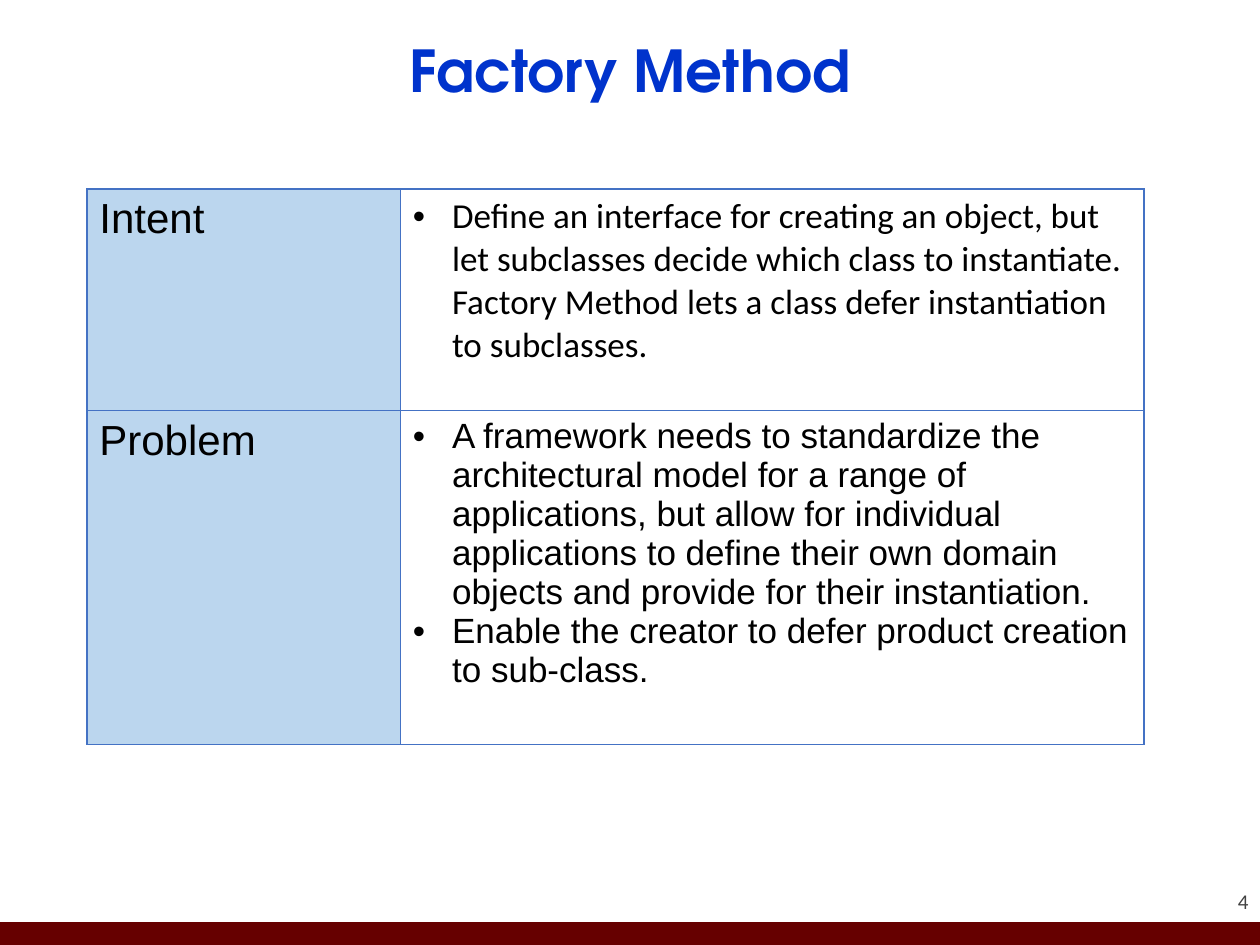
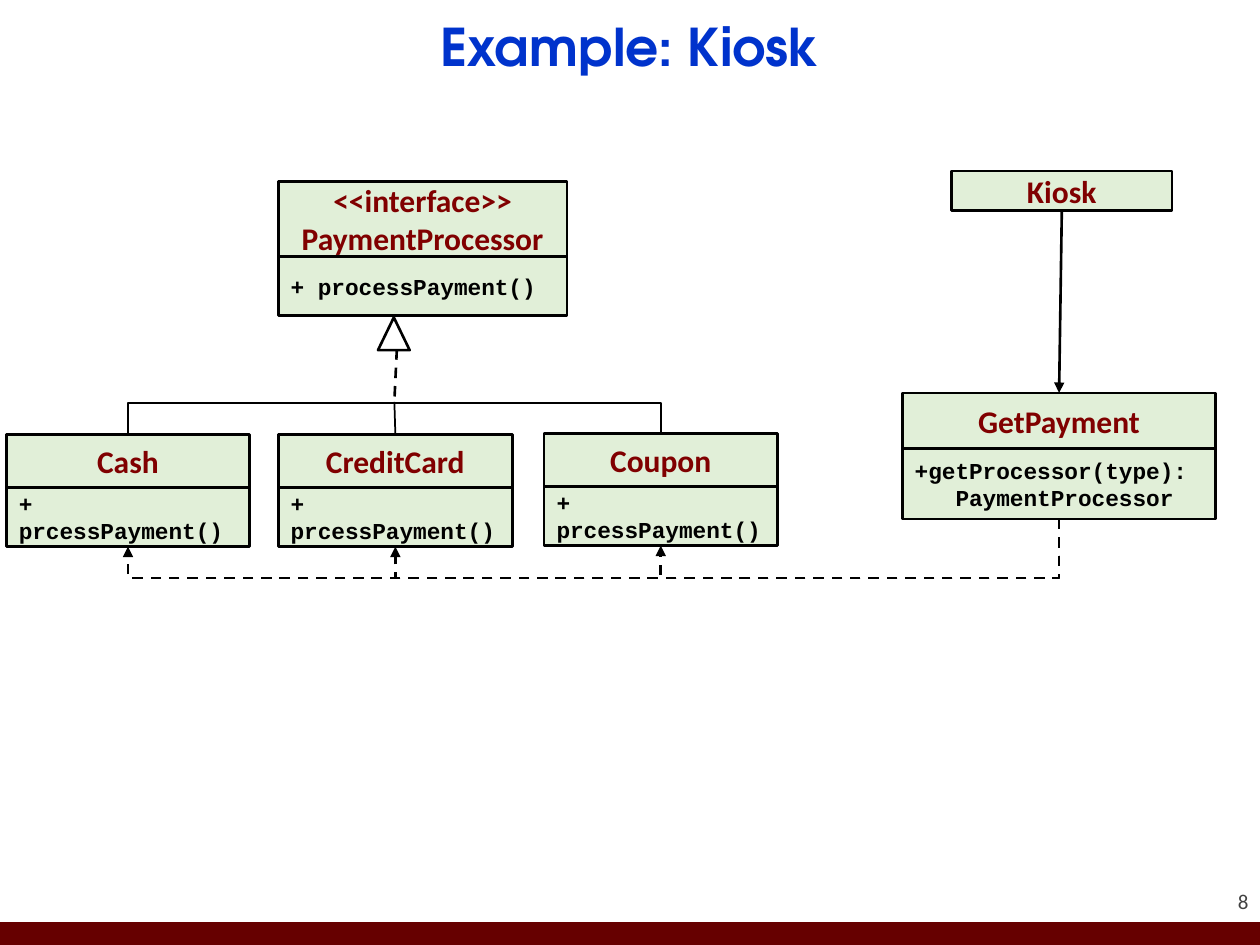
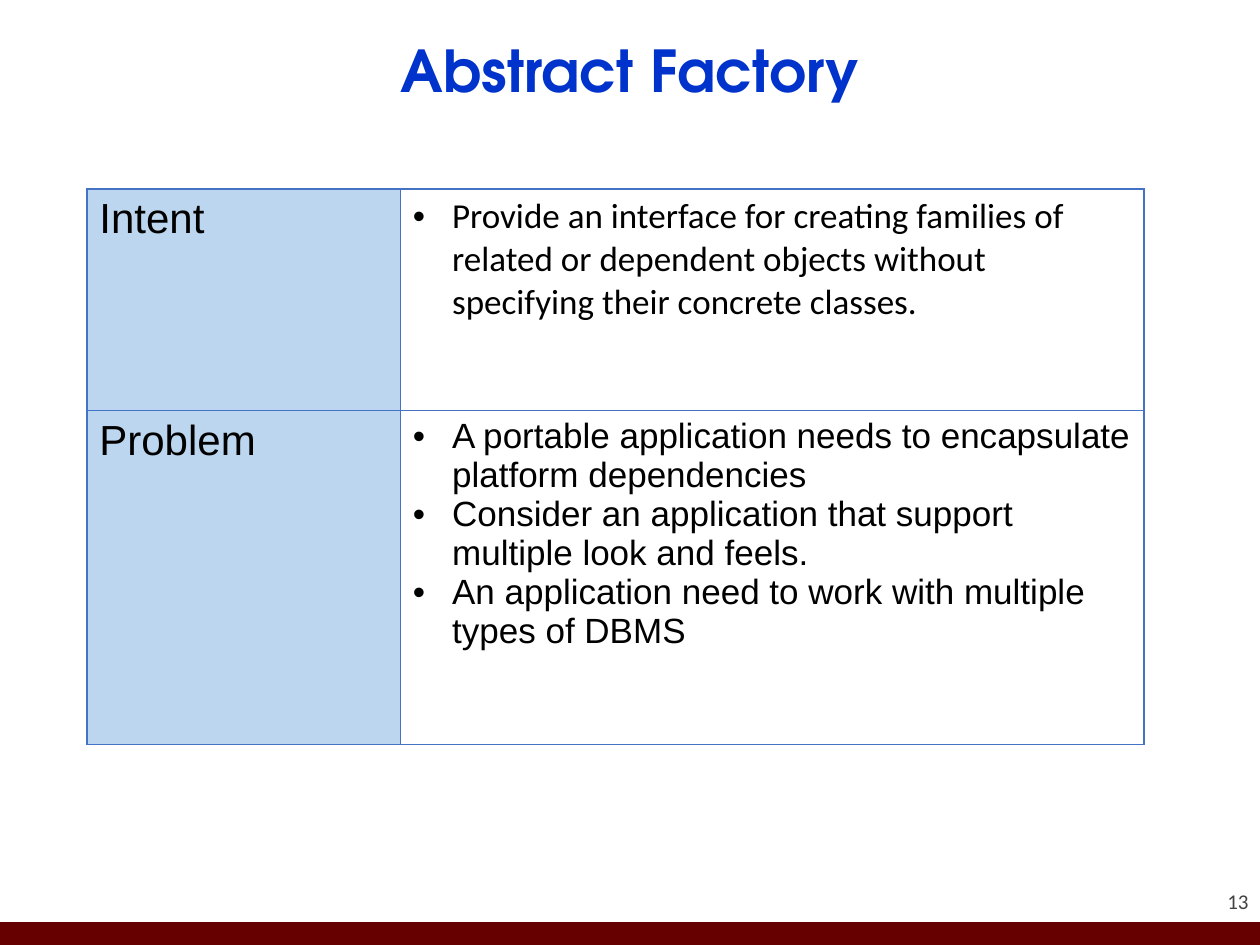
from dataclasses import dataclass

from lxml.etree import SubElement
from pptx import Presentation
from pptx.dml.color import RGBColor as Rgb
from pptx.enum.dml import MSO_LINE as Dash
from pptx.enum.shapes import MSO_CONNECTOR as Link, MSO_SHAPE as Preset
from pptx.enum.text import MSO_ANCHOR as Anchor, MSO_AUTO_SIZE as Fit, PP_ALIGN as Align
from pptx.oxml.ns import qn
from pptx.util import Cm, Pt

TOP, BOTTOM = 0, 2


@dataclass(frozen=True)
class Type:
    """A font, its size in points, its colour and weight."""
    font: str
    size: float
    colour: str = "000000"
    bold: bool = False


@dataclass(frozen=True)
class Theme:
    """Colours and type styles shared by all slides."""
    band: str = "660000"
    ink: str = "000000"
    label_fill: str = "BBD6EE"
    cell_fill: str = "FFFFFF"
    border: str = "4472C4"
    class_fill: str = "E1EFD8"
    title: Type = Type("TeX Gyre Adventor", 33, "0033CC", True)
    small_title: Type = Type("TeX Gyre Adventor", 29.7, "0033CC", True)
    number: Type = Type("Calibri", 12, "424242")
    label: Type = Type("Arial", 24)
    intent: Type = Type("Calibri", 20)
    problem: Type = Type("Arial", 20)
    class_name: Type = Type("Calibri", 18, "800000", True)
    method: Type = Type("Courier New", 13, "000000", True)


THEME = Theme()


def write(frame, lines, style, align=Align.LEFT, bulleted=False):
    """Fill a text frame with one styled paragraph per line."""
    for index, line in enumerate(lines):
        para = frame.add_paragraph() if index else frame.paragraphs[0]
        if bulleted:
            add_bullet(para)
        para.alignment = align
        span = para.add_run()
        span.text = line
        span.font.name = style.font
        span.font.size = Pt(style.size)
        span.font.bold = style.bold
        span.font.color.rgb = Rgb.from_string(style.colour)


def add_bullet(para):
    """Give a paragraph a black bullet with a hanging indent."""
    props = para._p.get_or_add_pPr()
    props.set("marL", str(Cm(0.79)))
    props.set("indent", str(Cm(-0.79)))
    colour = SubElement(props, qn("a:buClr"))
    SubElement(colour, qn("a:srgbClr"), val=THEME.ink)
    SubElement(props, qn("a:buFont"), typeface="Arial")
    SubElement(props, qn("a:buChar"), char="•")


def add_band(page):
    """Draw the bottom band and move it to the layout that all slides share."""
    band = page.shapes.add_shape(Preset.RECTANGLE, 0, Cm(18.59), Cm(25.4), Cm(0.46))
    band.shadow.inherit = False
    band.fill.solid()
    band.fill.fore_color.rgb = Rgb.from_string(THEME.band)
    band.line.fill.background()
    page.slide_layout.shapes.element.append(band.element)


def add_page(deck, title, number, style=THEME.title, title_height=Cm(2.39)):
    """Add a slide with its title and page number."""
    page = deck.slides.add_slide(deck.slide_layouts[5])
    box = page.shapes.title
    box.left, box.top, box.width, box.height = Cm(1.75), Cm(0.3), Cm(21.89), title_height
    frame = box.text_frame
    frame.auto_size = Fit.NONE
    frame.vertical_anchor = Anchor.MIDDLE
    write(frame, [title], style, Align.CENTER)
    frame.paragraphs[0].line_spacing = 0.9

    box = page.shapes.add_textbox(Cm(23.06), Cm(17.4), Cm(2.11), Cm(1.02))
    frame = box.text_frame
    frame.word_wrap = True
    frame.vertical_anchor = Anchor.BOTTOM
    frame.margin_left = frame.margin_right = frame.margin_top = frame.margin_bottom = 0
    write(frame, [str(number)], THEME.number, Align.RIGHT)
    return page


def format_cell(cell, fill):
    """Give a table cell its borders and fill."""
    props = cell._tc.get_or_add_tcPr()
    for side in ("lnL", "lnR", "lnT", "lnB"):
        edge = SubElement(props, qn(f"a:{side}"), w=str(Pt(1)))
        solid = SubElement(edge, qn("a:solidFill"))
        SubElement(solid, qn("a:srgbClr"), val=THEME.border)
    cell.fill.solid()
    cell.fill.fore_color.rgb = Rgb.from_string(fill)


def add_pattern_table(page, intent, problems):
    """Add the table that states a pattern's intent and problem."""
    table = page.shapes.add_table(2, 2, Cm(1.75), Cm(3.81), Cm(21.31), Cm(11.2)).table
    table.first_row = table.horz_banding = False
    for column, width in zip(table.columns, (6.32, 14.99)):
        column.width = Cm(width)
    rows = [
        ("Intent", [intent], THEME.intent, 4.47),
        ("Problem", problems, THEME.problem, 6.73),
    ]
    for index, (label, points, style, height) in enumerate(rows):
        table.rows[index].height = Cm(height)
        name, detail = table.cell(index, 0), table.cell(index, 1)
        format_cell(name, THEME.label_fill)
        format_cell(detail, THEME.cell_fill)
        write(name.text_frame, [label], THEME.label)
        write(detail.text_frame, points, style, bulleted=True)


def add_outlined(page, preset, left, top, width, height):
    """Add a preset shape with a black outline."""
    shape = page.shapes.add_shape(preset, Cm(left), Cm(top), Cm(width), Cm(height))
    shape.shadow.inherit = False
    shape.line.color.rgb = Rgb.from_string(THEME.ink)
    shape.line.width = Pt(1.5)
    return shape


def add_compartment(page, lines, style, align, left, top, width, height):
    """Add one compartment of a class box."""
    box = add_outlined(page, Preset.FLOWCHART_PROCESS, left, top, width, height)
    box.fill.solid()
    box.fill.fore_color.rgb = Rgb.from_string(THEME.class_fill)
    box.text_frame.word_wrap = True
    box.text_frame.vertical_anchor = Anchor.MIDDLE
    write(box.text_frame, lines, style, align)
    return box


def add_class(page, names, methods, left, top, width, name_height, method_height=1.19):
    """Add a class box and return its name and method compartments."""
    name = add_compartment(page, names, THEME.class_name, Align.CENTER,
                           left, top, width, name_height)
    method = add_compartment(page, methods, THEME.method, Align.LEFT,
                             left, top + name_height, width, method_height)
    return name, method


def style_link(link, weight, dashed=False, arrow=False):
    """Set the line of a connector and take off its shadow."""
    link.line.color.rgb = Rgb.from_string(THEME.ink)
    link.line.width = Pt(weight)
    if dashed:
        link.line.dash_style = Dash.DASH
    if arrow:
        SubElement(link.line._get_or_add_ln(), qn("a:tailEnd"), type="triangle")
    SubElement(link.element.spPr, qn("a:effectLst"))


def add_line(page, start, end):
    """Add a straight connector between two points in centimetres."""
    return page.shapes.add_connector(Link.STRAIGHT, *map(Cm, start + end))


def add_elbow(page, source, target, side, level):
    """Join the same side of two boxes by a connector that turns at a level."""
    link = page.shapes.add_connector(Link.ELBOW, 0, 0, 0, 0)
    link.begin_connect(source, side)
    link.end_connect(target, side)
    start_x, start_y, end_x, end_y = link.begin_x, link.begin_y, link.end_x, link.end_y

    sign = 1 if side == BOTTOM else -1
    run = sign * (end_y - start_y)
    drift = sign * (start_x - end_x)
    link.left = (start_x + end_x - run) // 2
    link.top = (start_y + end_y - drift) // 2
    link.width, link.height = run, drift
    frame = link.element.spPr.find(qn("a:xfrm"))
    frame.set("rot", str((90 if side == BOTTOM else 270) * 60000))
    frame.set("flipH", "0")
    frame.set("flipV", "0")
    reach = round(sign * (Cm(level) - start_y) / run * 100000)
    guides = link.element.spPr.find(".//" + qn("a:avLst"))
    SubElement(guides, qn("a:gd"), name="adj1", fmla=f"val {reach}")
    return link


def draw_kiosk(page):
    """Draw the class diagram of the kiosk example."""
    add_class(page, ["<<interface>>", "PaymentProcessor"], ["+ processPayment()"],
              5.61, 3.66, 5.82, 1.51)
    cash, credit, coupon = [
        add_class(page, [name], ["+ prcessPayment()"], left, top, width, 1.07)
        for name, left, top, width in [
            ("Cash", 0.13, 8.76, 4.9),
            ("CreditCard", 5.61, 8.76, 4.72),
            ("Coupon", 10.97, 8.74, 4.7),
        ]
    ]
    creator = add_class(page, ["GetPayment"],
                        ["+getProcessor(type):", "   PaymentProcessor"],
                        18.19, 7.92, 6.32, 1.12, 1.42)
    kiosk = add_compartment(page, ["Kiosk"], THEME.class_name, Align.CENTER,
                            19.18, 3.45, 4.45, 0.79)

    add_outlined(page, Preset.ISOSCELES_TRIANGLE, 7.62, 6.4, 0.64, 0.66).fill.background()
    style_link(add_line(page, (8, 7.04), (7.95, 8.08)), 1.5, dashed=True)
    style_link(add_elbow(page, cash[0], coupon[0], TOP, 8.13), 1)
    stem = add_line(page, (7.97, 8.76), (7.95, 8.1))
    stem.begin_connect(credit[0], TOP)
    style_link(stem, 1)

    call = add_line(page, (21.4, 4.24), (21.35, 7.92))
    call.begin_connect(kiosk, BOTTOM)
    call.end_connect(creator[0], TOP)
    style_link(call, 1.5, arrow=True)
    for product in (coupon, credit, cash):
        creation = add_elbow(page, creator[1], product[1], BOTTOM, 11.65)
        style_link(creation, 1.5, dashed=True, arrow=True)


def main():
    """Build the three slides and save the deck."""
    deck = Presentation()
    deck.slide_width, deck.slide_height = Cm(25.4), Cm(19.05)

    page = add_page(deck, "Factory Method", 4)
    add_band(page)
    add_pattern_table(
        page,
        "Define an interface for creating an object, but let subclasses decide which "
        "class to instantiate. Factory Method lets a class defer instantiation to "
        "subclasses.",
        ["A framework needs to standardize the architectural model for a range of "
         "applications, but allow for individual applications to define their own "
         "domain objects and provide for their instantiation.",
         "Enable the creator to defer product creation to sub-class."])

    page = add_page(deck, "Example: Kiosk", 8, THEME.small_title, Cm(1.4))
    draw_kiosk(page)

    page = add_page(deck, "Abstract Factory", 13)
    add_pattern_table(
        page,
        "Provide an interface for creating families of related or dependent objects "
        "without specifying their concrete classes.",
        ["A portable application needs to encapsulate platform dependencies",
         "Consider an application that support multiple look and feels.",
         "An application need to work with multiple types of DBMS"])

    deck.save("out.pptx")


if __name__ == "__main__":
    main()
